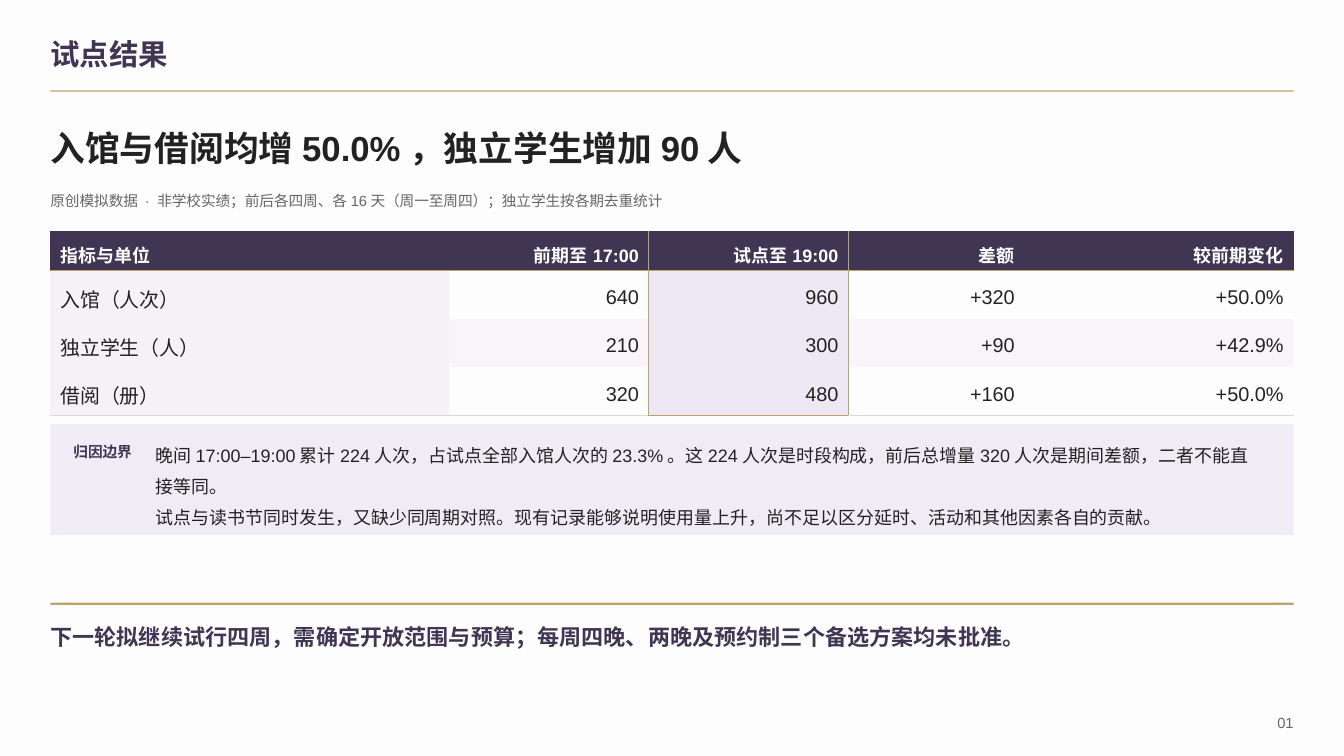
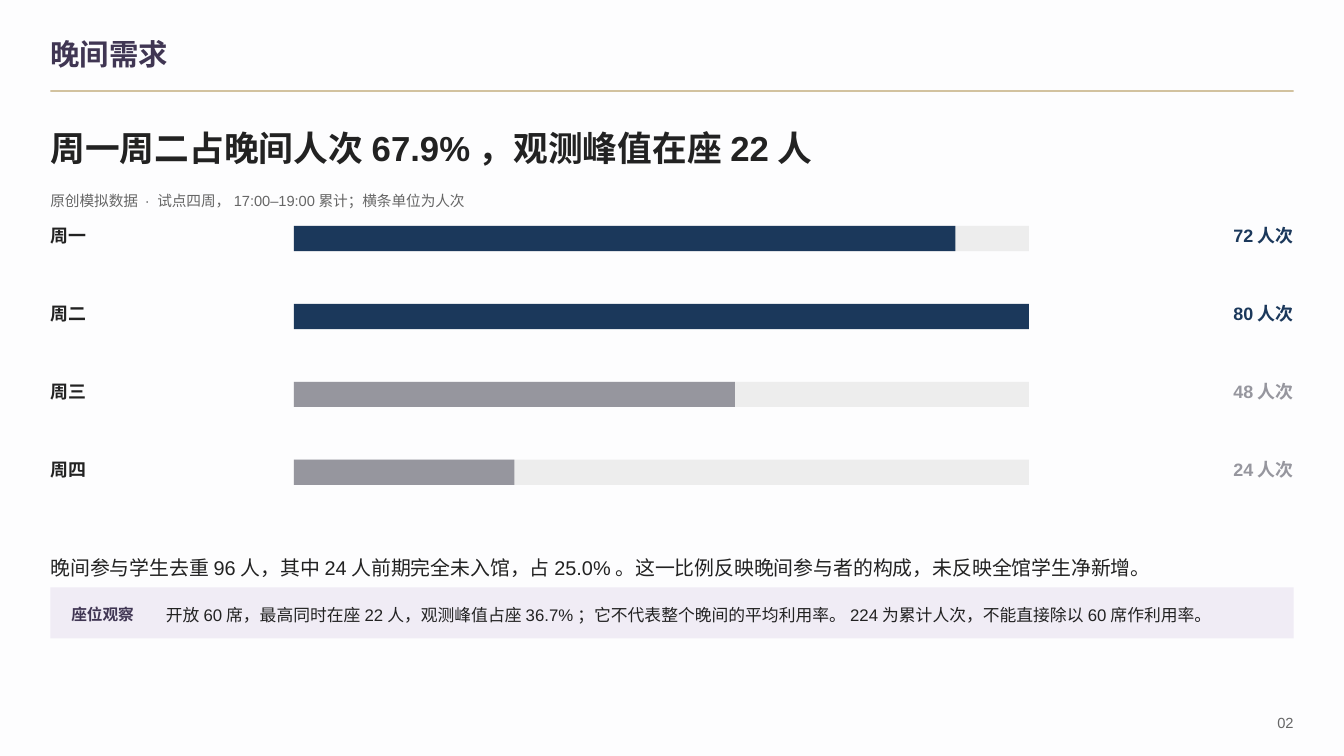
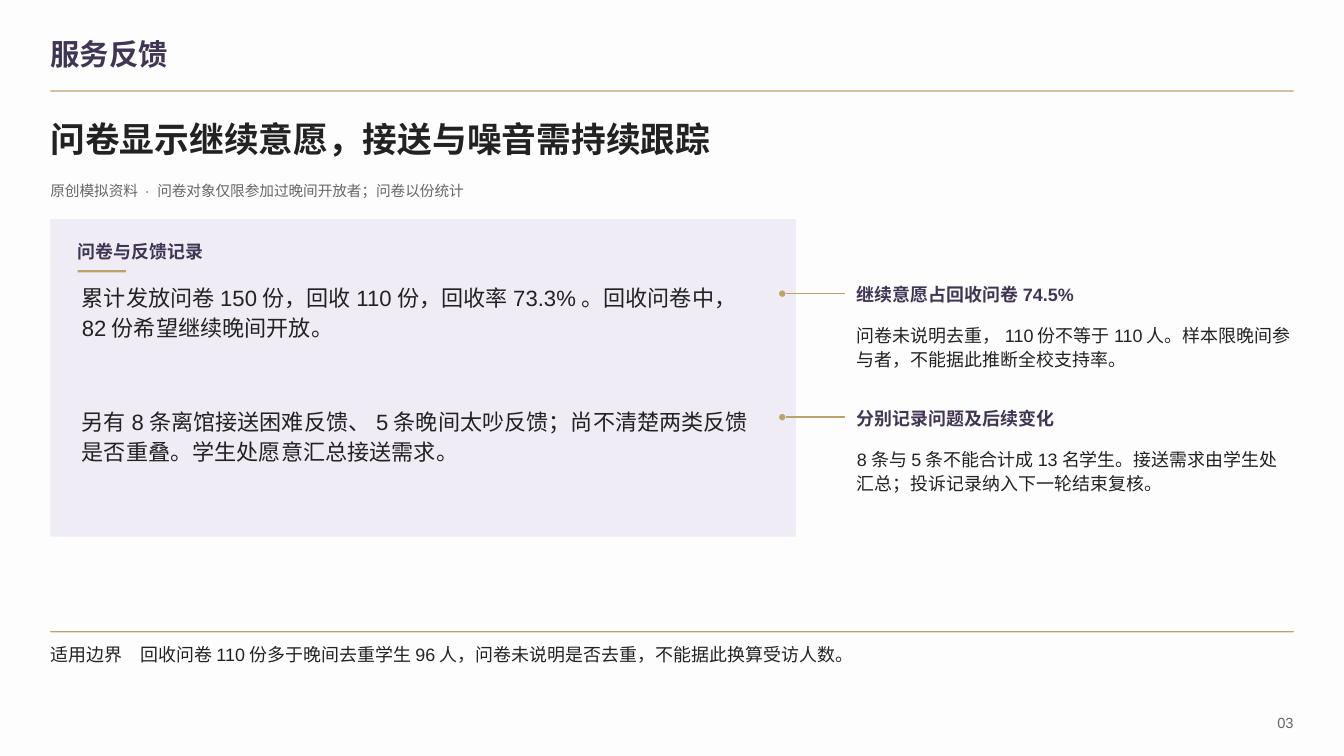
from dataclasses import dataclass
from typing import Any, NamedTuple

from lxml import etree
from pptx import Presentation
from pptx import util as u
from pptx.dml.color import RGBColor
from pptx.enum import lang, shapes, text
from pptx.oxml import ns

PLUM = RGBColor(0x40, 0x36, 0x53)
GOLD = RGBColor(0xBC, 0xA3, 0x6D)
INK = RGBColor(0x22, 0x22, 0x22)
GRAY = RGBColor(0x66, 0x66, 0x66)
PAPER = RGBColor(0xFD, 0xFD, 0xFE)
PANEL = RGBColor(0xF0, 0xEC, 0xF5)
NAVY = RGBColor(0x1B, 0x38, 0x5B)
SLATE = RGBColor(0x96, 0x96, 0x9E)
TRACK = RGBColor(0xED, 0xED, 0xED)
WHITE = RGBColor(0xFF, 0xFF, 0xFF)
STUB = RGBColor(0xF4, 0xF1, 0xF7)
BAND = RGBColor(0xF7, 0xF5, 0xFA)
FOCUS = RGBColor(0xEE, 0xE7, 0xF4)
EDGE = RGBColor(0xD8, 0xD8, 0xD8)

FONT = "Arial"
LEFT, WIDE = 36, 888
RIGHT = text.PP_ALIGN.RIGHT
MIDDLE = text.MSO_ANCHOR.MIDDLE
NO_STYLE = "{2D5ABB26-0587-4C30-8999-92F81FD0307C}"


class Box(NamedTuple):
    """Left, top, width and height in points."""
    x: float
    y: float
    w: float
    h: float

    def emu(self) -> list[u.Length]:
        return [u.Pt(v) for v in self]


class Day(NamedTuple):
    name: str
    count: int
    color: RGBColor


class Topic(NamedTuple):
    record: str
    head: str
    note: str


@dataclass
class Page:
    """Wording at the top of a slide, with the places that vary."""
    title: str
    claim: str
    source: str
    source_y: float = 130.5
    claim_lead: float = 1.2
    source_lead: float = 1.5


def write(frame: Any, *lines: str, size: float = 12.8, color: RGBColor = INK,
          bold: bool = False, align: Any = text.PP_ALIGN.LEFT,
          lead: float = 1.0) -> None:
    """Fill a text frame; lead is a multiple, or a Length for exact spacing."""
    for i, line in enumerate(lines):
        para = frame.add_paragraph() if i else frame.paragraphs[0]
        para.alignment, para.line_spacing = align, lead
        run = para.add_run()
        run.text = line
        font = run.font
        font.name, font.size, font.bold = FONT, u.Pt(size), bold
        font.color.rgb = color
        font.language_id = lang.MSO_LANGUAGE_ID.SIMPLIFIED_CHINESE


def setup(frame: Any, anchor: Any = text.MSO_ANCHOR.TOP) -> None:
    frame.margin_left = frame.margin_right = 0
    frame.margin_top = frame.margin_bottom = 0
    frame.word_wrap = True
    frame.auto_size = text.MSO_AUTO_SIZE.NONE
    frame.vertical_anchor = anchor


def label(slide: Any, box: Box, *lines: str,
          anchor: Any = text.MSO_ANCHOR.TOP, **form: Any) -> None:
    frame = slide.shapes.add_textbox(*box.emu()).text_frame
    setup(frame, anchor)
    write(frame, *lines, **form)


def block(slide: Any, box: Box, color: RGBColor,
          kind: Any = shapes.MSO_SHAPE.RECTANGLE) -> None:
    shape = slide.shapes.add_shape(kind, *box.emu())
    shape.shadow.inherit = False
    shape.fill.solid()
    shape.fill.fore_color.rgb = color
    shape.line.fill.background()


def rule(slide: Any, y: float, thick: float = 1) -> None:
    block(slide, Box(LEFT, y, WIDE, thick), GOLD)


def start(deck: Any, page: Page) -> Any:
    """Add a slide with its title, top rule, claim, source and number."""
    slide = deck.slides.add_slide(deck.slide_layouts[5])
    rule(slide, 64.5)
    title = slide.shapes.title
    title.left, title.top, title.width, title.height = Box(LEFT, 22.5, 757.5, 32.25).emu()
    setup(title.text_frame, MIDDLE)
    write(title.text_frame, page.title, size=21, color=PLUM, bold=True)
    label(slide, Box(LEFT, 84.5, WIDE, 34), page.claim, size=24.8, bold=True,
          lead=page.claim_lead)
    label(slide, Box(LEFT, page.source_y, WIDE, 20), page.source, size=10.5,
          color=GRAY, lead=page.source_lead)
    label(slide, Box(892.5, 507.5, 31.5, 18), f"{len(deck.slides):02d}",
          size=10.5, color=GRAY, align=RIGHT, anchor=MIDDLE)
    return slide


def border(cell: Any, sides: str, color: RGBColor, thick: float) -> None:
    """Draw cell edges; sides holds letters of L, R, T, B in that order."""
    props = cell._tc.get_or_add_tcPr()
    for i, side in enumerate(sides):
        line = etree.Element(ns.qn(f"a:ln{side}"), w=str(u.Pt(thick)))
        fill = etree.SubElement(line, ns.qn("a:solidFill"))
        etree.SubElement(fill, ns.qn("a:srgbClr"), val=str(color))
        props.insert(i, line)


def grid(slide: Any) -> None:
    rows = [
        ("指标与单位", "前期至17:00", "试点至19:00", "差额", "较前期变化"),
        ("入馆（人次）", "640", "960", "+320", "+50.0%"),
        ("独立学生（人）", "210", "300", "+90", "+42.9%"),
        ("借阅（册）", "320", "480", "+160", "+50.0%"),
    ]
    cols = [285, 142.5, 142.5, 126, 192]
    highs = [28.5] + [34.5] * 3
    box = Box(LEFT, 165, sum(cols), sum(highs))
    table = slide.shapes.add_table(len(rows), len(cols), *box.emu()).table
    table.first_row = table.horz_banding = False
    table._tbl.tblPr.find(ns.qn("a:tableStyleId")).text = NO_STYLE
    for col, wide in zip(table.columns, cols):
        col.width = u.Pt(wide)
    for r, (row, high) in enumerate(zip(rows, highs)):
        table.rows[r].height = u.Pt(high)
        for c, word in enumerate(row):
            cell = table.cell(r, c)
            cell.margin_left = cell.margin_right = u.Pt(7.2)
            cell.margin_top = cell.margin_bottom = 0
            cell.vertical_anchor = MIDDLE
            head, last = r == 0, r == len(rows) - 1
            body = {0: STUB, 2: FOCUS}.get(c, PAPER if r % 2 else BAND)
            cell.fill.solid()
            cell.fill.fore_color.rgb = PLUM if head else body
            write(cell.text_frame, word, size=12.8 if head else 14.2,
                  color=WHITE if head else INK, bold=head, lead=1.25,
                  align=RIGHT if c else text.PP_ALIGN.LEFT)
            if head:
                border(cell, "LRB" if c == 2 else "B", GOLD, 0.9)
            elif c == 2:
                border(cell, "LB" if last else "L", GOLD, 0.75)
            elif last:
                border(cell, "B", EDGE, 0.67)


def results(deck: Any) -> None:
    slide = start(deck, Page(
        "试点结果", "入馆与借阅均增50.0%，独立学生增加90人",
        "原创模拟数据 · 非学校实绩；前后各四周、各16天（周一至周四）；独立学生按各期去重统计"))
    grid(slide)
    block(slide, Box(LEFT, 303, WIDE, 79.25), PANEL)
    label(slide, Box(52.5, 311.75, 58.5, 18), "归因边界", size=10.5,
          color=PLUM, bold=True, lead=1.35)
    label(slide, Box(111, 310.5, 785, 66),
          "晚间17:00–19:00累计224人次，占试点全部入馆人次的23.3%。这224人次是时段构成，"
          "前后总增量320人次是期间差额，二者不能直接等同。",
          "试点与读书节同时发生，又缺少同周期对照。现有记录能够说明使用量上升，"
          "尚不足以区分延时、活动和其他因素各自的贡献。", lead=1.45)
    rule(slide, 430.5, 1.5)
    label(slide, Box(LEFT, 439.5, WIDE, 30),
          "下一轮拟继续试行四周，需确定开放范围与预算；每周四晚、两晚及预约制三个备选方案均未批准。",
          size=15.8, color=PLUM, bold=True, lead=1.3)


def demand(deck: Any) -> None:
    slide = start(deck, Page(
        "晚间需求", "周一周二占晚间人次67.9%，观测峰值在座22人",
        "原创模拟数据 · 试点四周，17:00–19:00累计；横条单位为人次"))
    days = [Day("周一", 72, NAVY), Day("周二", 80, NAVY),
            Day("周三", 48, SLATE), Day("周四", 24, SLATE)]
    top, step, full = 155.4, 55.65, 525
    peak = max(day.count for day in days)
    for i, day in enumerate(days):
        y = top + i * step
        bar = Box(210, y + 6, full, 18)
        label(slide, Box(LEFT, y, 156, 29), day.name, bold=True, lead=1.35)
        if day.count < peak:
            block(slide, bar, TRACK)
        block(slide, bar._replace(w=full * day.count / peak), day.color)
        label(slide, Box(753, y, 171, 29), f"{day.count}人次",
              color=day.color, bold=True, align=RIGHT, lead=1.35)
    block(slide, Box(LEFT, 419.5, WIDE, 36.5), PANEL)
    label(slide, Box(51, 427.75, 56, 18), "座位观察", size=11.2, color=PLUM,
          bold=True, lead=1.3)
    label(slide, Box(118.5, 427.75, 790.5, 27),
          "开放60席，最高同时在座22人，观测峰值占座36.7%；它不代表整个晚间的平均利用率。"
          "224为累计人次，不能直接除以60席作利用率。", size=12, lead=1.3)
    label(slide, Box(LEFT, 391, WIDE, 24),
          "晚间参与学生去重96人，其中24人前期完全未入馆，占25.0%。"
          "这一比例反映晚间参与者的构成，未反映全馆学生净新增。", size=14.2, lead=1.35)


def link(slide: Any, y: float) -> None:
    """Join a record to its comment with a dot and a line."""
    block(slide, Box(556.5, y - 2.25, 4.5, 4.5), GOLD, shapes.MSO_SHAPE.OVAL)
    line = slide.shapes.add_connector(
        shapes.MSO_CONNECTOR.STRAIGHT, *[u.Pt(v) for v in (561.5, y, 603.5, y)])
    line.line.color.rgb = GOLD
    line.line.width = u.Pt(1.05)
    etree.SubElement(line._element.spPr, ns.qn("a:effectLst"))


def feedback(deck: Any) -> None:
    lead = u.Pt(17.2)
    slide = start(deck, Page(
        "服务反馈", "问卷显示继续意愿，接送与噪音需持续跟踪",
        "原创模拟资料 · 问卷对象仅限参加过晚间开放者；问卷以份统计",
        128.25, u.Pt(29.7), u.Pt(14.2)))
    block(slide, Box(LEFT, 156.5, 532.5, 226.75), PANEL)
    label(slide, Box(55.5, 170, 497, 24), "问卷与反馈记录", color=PLUM,
          bold=True, lead=lead)
    block(slide, Box(55.5, 193, 34.5, 1.5), GOLD)
    topics = [
        Topic("累计发放问卷150份，回收110份，回收率73.3%。回收问卷中，82份希望继续晚间开放。",
              "继续意愿占回收问卷74.5%",
              "问卷未说明去重，110份不等于110人。样本限晚间参与者，不能据此推断全校支持率。"),
        Topic("另有8条离馆接送困难反馈、5条晚间太吵反馈；尚不清楚两类反馈是否重叠。"
              "学生处愿意汇总接送需求。",
              "分别记录问题及后续变化",
              "8条与5条不能合计成13名学生。接送需求由学生处汇总；投诉记录纳入下一轮结束复核。"),
    ]
    top, step = 201, 88.25
    for i, topic in enumerate(topics):
        y = top + i * step
        label(slide, Box(58.5, y, 484.5, 49), topic.record, size=15.8,
              lead=u.Pt(21.3))
        link(slide, y + 8.75)
        label(slide, Box(612, y, 312, 24), topic.head, color=PLUM, bold=True,
              lead=lead)
        label(slide, Box(612, y + 29, 312, 41), topic.note, lead=lead)
    rule(slide, 450.75)
    label(slide, Box(LEFT, 457.5, WIDE, 24),
          "适用边界　回收问卷110份多于晚间去重学生96人，问卷未说明是否去重，不能据此换算受访人数。",
          lead=lead)


def main() -> None:
    deck = Presentation()
    deck.slide_width, deck.slide_height = u.Pt(960), u.Pt(540)
    fill = deck.slide_master.background.fill
    fill.solid()
    fill.fore_color.rgb = PAPER
    results(deck)
    demand(deck)
    feedback(deck)
    deck.save("out.pptx")


if __name__ == "__main__":
    main()
